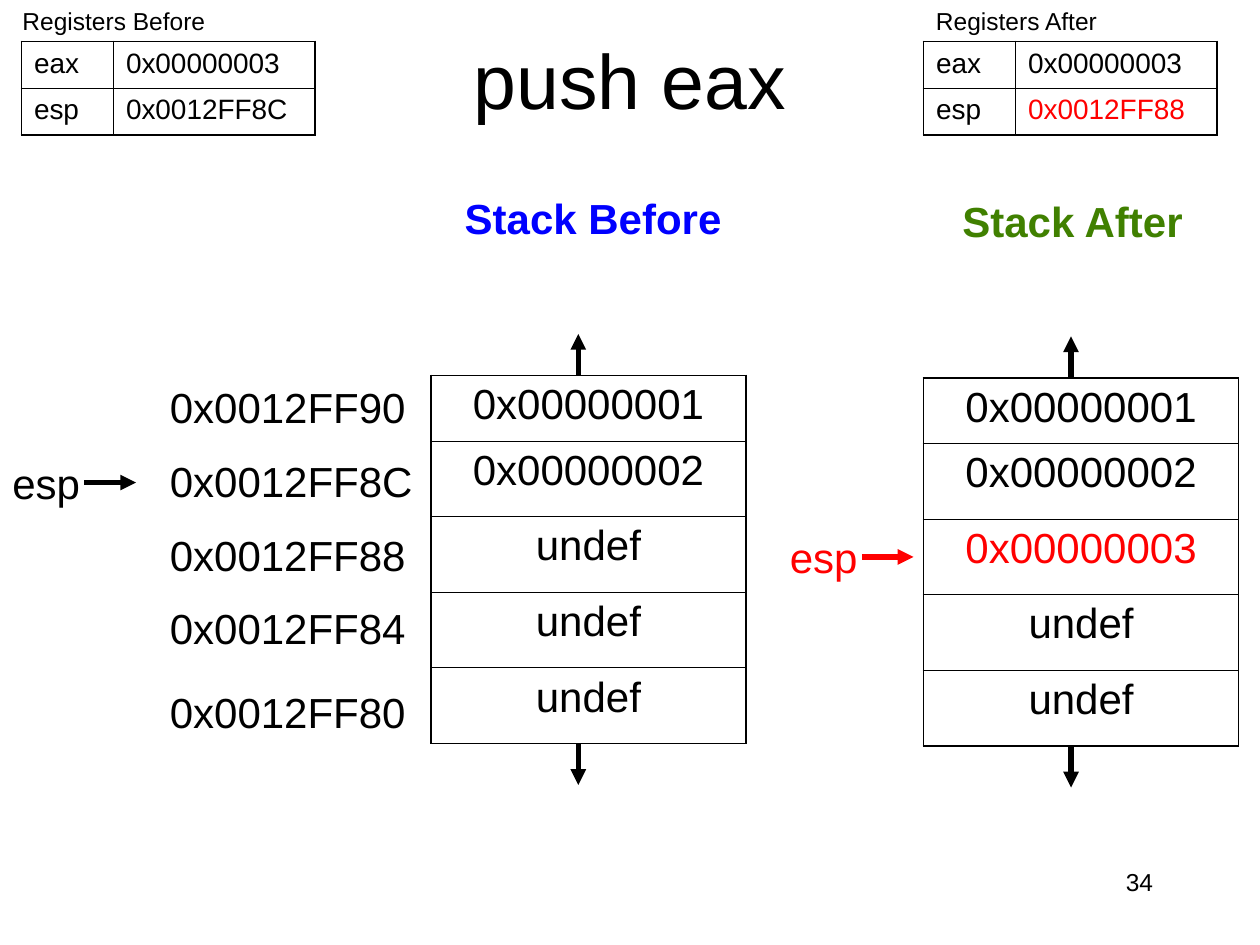
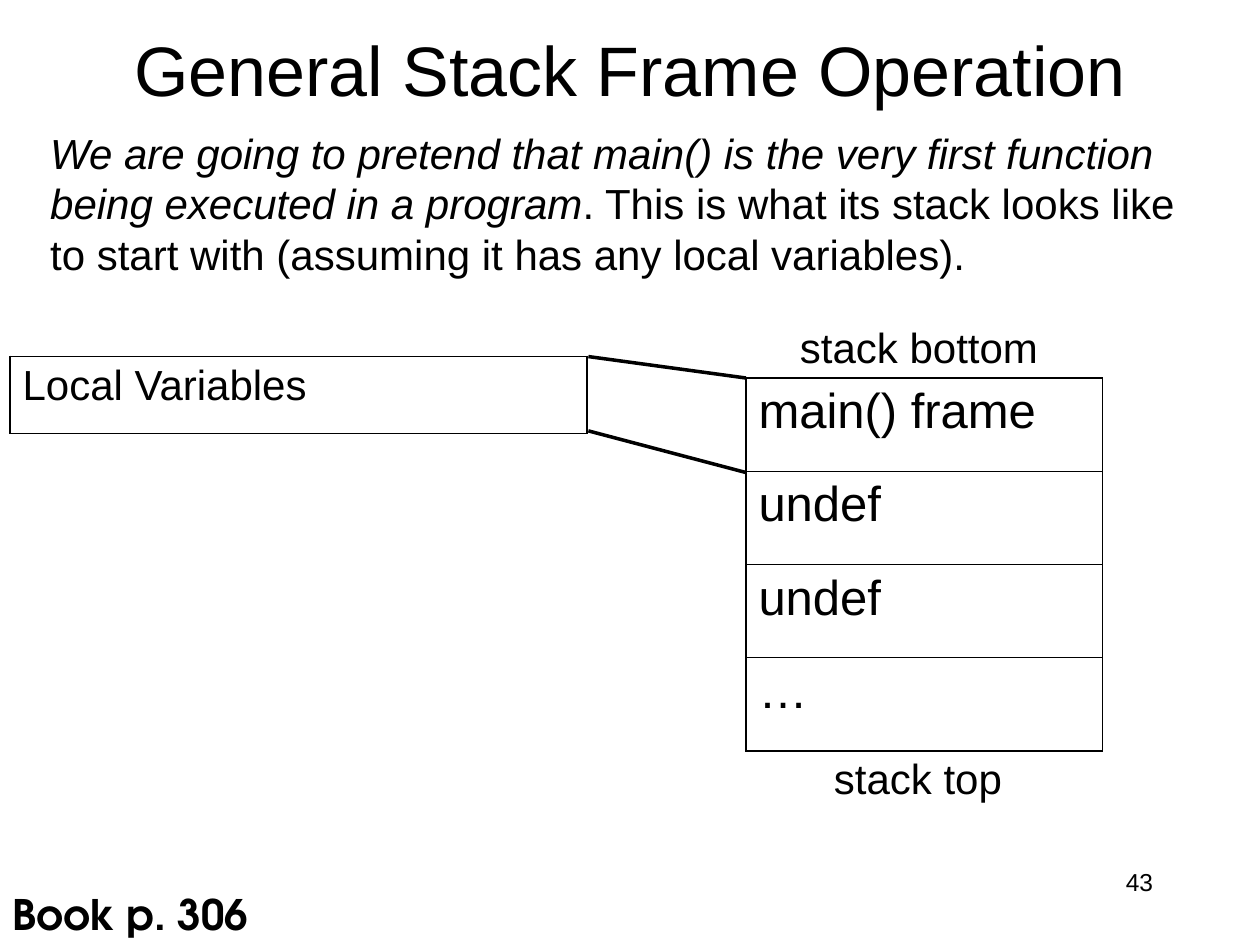
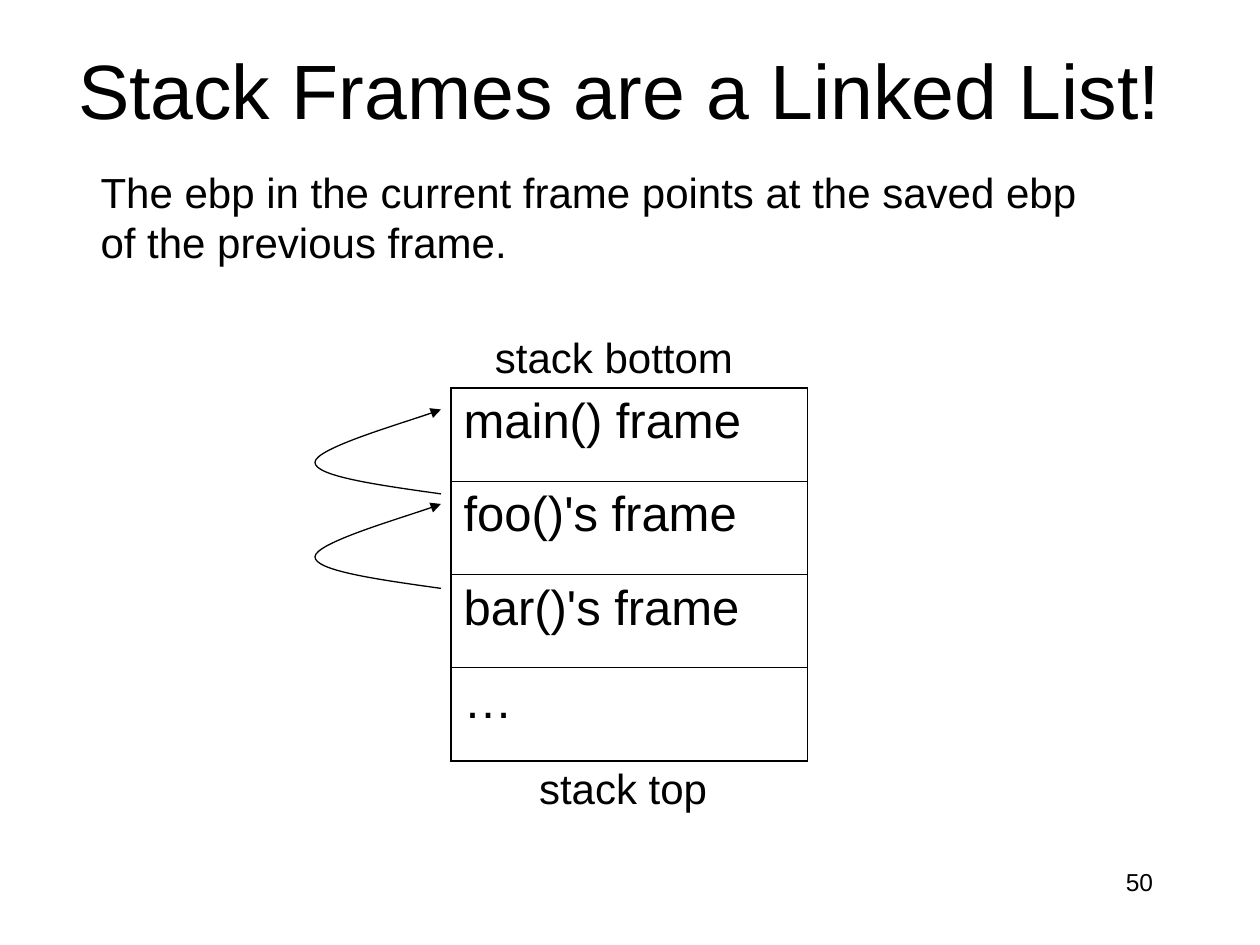
from lxml.etree import SubElement
from pptx import Presentation
from pptx.dml.color import RGBColor
from pptx.enum.shapes import MSO_CONNECTOR
from pptx.enum.text import MSO_ANCHOR as Anchor, MSO_AUTO_SIZE as AutoSize, PP_ALIGN as Align
from pptx.oxml.ns import qn
from pptx.util import Inches, Pt

BLACK, RED, BLUE, GREEN = "000000", "FF0000", "0000FF", "408000"
BODY_FONT, BOOK_FONT = "Arial", "TeX Gyre Adventor"
OUTER_BORDER, INNER_BORDER = 1.08, 0.45


def colour(hex_string):
    return RGBColor.from_string(hex_string)


def write(frame, text, size=24, color=BLACK, bold=False, align=Align.LEFT, font=BODY_FONT):
    """Fill a frame with a string, or with lines that each hold (text, italic) runs."""
    lines = [[(text, False)]] if isinstance(text, str) else text
    for index, line in enumerate(lines):
        paragraph = frame.add_paragraph() if index else frame.paragraphs[0]
        paragraph.alignment = align
        for content, italic in line:
            run = paragraph.add_run()
            run.text = content
            run.font.name, run.font.size = font, Pt(size)
            run.font.bold, run.font.italic = bold, italic
            run.font.color.rgb = colour(color)


def add_arrowhead(line):
    SubElement(line._get_or_add_ln(), qn("a:tailEnd"), type="triangle")


def set_border(cell, side, width):
    properties = cell._tc.get_or_add_tcPr()
    border = SubElement(properties, qn(f"a:ln{side}"), w=str(Pt(width)))
    fill = SubElement(border, qn("a:solidFill"))
    SubElement(fill, qn("a:srgbClr"), val=BLACK)


class Deck:
    def __init__(self):
        self.presentation = Presentation()
        self.presentation.slide_width = Inches(10)
        self.presentation.slide_height = Inches(7.5)
        self.slide = None

    def start_slide(self, title, number, left=0.75, top=0, width=8.5, size=44):
        self.slide = self.presentation.slides.add_slide(self.presentation.slide_layouts[6])
        self.text(number, 7.17, 6.83, 2.08, 0.5, wrap=True, size=14, align=Align.RIGHT)
        self.text(title, left, top, width, 1.25, wrap=True, anchor=Anchor.MIDDLE,
                  size=size, align=Align.CENTER)

    def text(self, text, left, top, width, height=0.5, wrap=False, anchor=Anchor.TOP, **style):
        box = self.slide.shapes.add_textbox(
            Inches(left), Inches(top), Inches(width), Inches(height))
        frame = box.text_frame
        frame.word_wrap = wrap
        frame.auto_size = AutoSize.NONE if wrap else AutoSize.SHAPE_TO_FIT_TEXT
        frame.vertical_anchor = anchor
        write(frame, text, **style)

    def line(self, start, end, width=3, color=BLACK, arrow=True):
        connector = self.slide.shapes.add_connector(
            MSO_CONNECTOR.STRAIGHT, *map(Inches, (*start, *end)))
        connector.line.width = Pt(width)
        connector.line.color.rgb = colour(color)
        if arrow:
            add_arrowhead(connector.line)
        SubElement(connector._element.spPr, qn("a:effectLst"))

    def table(self, rows, left, top, widths, heights, highlight=None, **style):
        """Draw a plain grid; cells equal to highlight are red."""
        frame = self.slide.shapes.add_table(
            len(rows), len(widths), Inches(left), Inches(top),
            Inches(sum(widths)), Inches(sum(heights)))
        table = frame.table
        table.first_row = table.horz_banding = False
        for column, width in zip(table.columns, widths):
            column.width = Inches(width)
        for row, height in zip(table.rows, heights):
            row.height = Inches(height)
        for r, values in enumerate(rows):
            for c, value in enumerate(values):
                cell = table.cell(r, c)
                on_edge = {"L": c == 0, "R": c == len(widths) - 1,
                           "T": r == 0, "B": r == len(rows) - 1}
                for side, outer in on_edge.items():
                    set_border(cell, side, OUTER_BORDER if outer else INNER_BORDER)
                cell.fill.background()
                cell.margin_left = cell.margin_right = Inches(0.1)
                cell.margin_top = cell.margin_bottom = Inches(0.05)
                write(cell.text_frame, value, color=RED if value == highlight else BLACK, **style)

    def registers(self, caption, esp, left, caption_left, caption_width, highlight=None):
        self.text(caption, caption_left, 0, caption_width, 0.34, size=14)
        self.table([("eax", "0x00000003"), ("esp", esp)], left, 0.33, [0.73, 1.6],
                   [0.37, 0.37], highlight, size=16)

    def memory_stack(self, values, left, top, highlight=None):
        """Draw stack cells with an arrow leaving each end."""
        heights = [0.52] + [0.6] * 4
        bottom, middle = top + sum(heights), left + 1.17
        self.table([(value,) for value in values], left, top, [2.5], heights,
                   highlight, align=Align.CENTER)
        self.line((middle, top), (middle, top - 0.33))
        self.line((middle, bottom), (middle, bottom + 0.33))

    def stack_pointer(self, left, top, color=BLACK):
        self.text("esp", left, top, 0.74, color=color)
        self.line((left + 0.67, top + 0.25), (left + 1.08, top + 0.25), color=color)

    def frame_stack(self, frames, left, top, label_indent):
        self.table([(name,) for name in frames], left, top, [2.83], [0.74] * 4, size=28)
        self.text("stack bottom", left + label_indent, top - 0.5, 2.09)
        self.text("stack top", left + 0.6, top + 2.92, 1.6, wrap=True)

    def link_curve(self, left, top):
        """Draw a bowed arrow from a frame up to the one before it."""
        def point(x, y):
            return Inches(left + x), Inches(top + y)

        builder = self.slide.shapes.build_freeform(*point(1, 0.67))
        builder.add_line_segments([point(0, 0.42), point(1, 0)], close=False)
        shape = builder.convert_to_shape()
        shape.shadow.inherit = False
        shape.fill.background()
        shape.line.width = Pt(0.75)
        shape.line.color.rgb = colour(BLACK)
        add_arrowhead(shape.line)
        outline = shape._element.find(".//" + qn("a:path"))
        for segment in outline.findall(qn("a:lnTo")):
            outline.remove(segment)
        for controls in ([(0.5, 0.6), (0, 0.53), (0, 0.42)],
                         [(0, 0.31), (0.83, 0.07), (1, 0)]):
            curve = SubElement(outline, qn("a:cubicBezTo"))
            for x, y in controls:
                SubElement(curve, qn("a:pt"), x=str(Inches(x)), y=str(Inches(y)))


def add_push_slide(deck):
    deck.start_slide("push eax", "34")
    deck.memory_stack(["0x00000001", "0x00000002", "undef", "undef", "undef"], 3.42, 2.98)
    deck.memory_stack(["0x00000001", "0x00000002", "0x00000003", "undef", "undef"],
                      7.33, 3, highlight="0x00000003")
    deck.text("Stack Before", 3.59, 1.48, 2.24, color=BLUE, bold=True)
    deck.text("Stack After", 7.54, 1.5, 1.96, color=GREEN, bold=True)
    address_tops = {"0x0012FF90": 2.98, "0x0012FF8C": 3.57, "0x0012FF88": 4.15,
                    "0x0012FF84": 4.73, "0x0012FF80": 5.4}
    for address, top in address_tops.items():
        deck.text(address, 1.25, top, 2.16, wrap=True)
    deck.stack_pointer(0, 3.58)
    deck.stack_pointer(6.17, 4.17, RED)
    deck.registers("Registers Before", "0x0012FF8C", 0.17, 0.08, 1.65)
    deck.registers("Registers After", "0x0012FF88", 7.33, 7.33, 1.49, highlight="0x0012FF88")


def add_frame_operation_slide(deck):
    deck.start_slide("General Stack Frame Operation", "43", top=-0.08, size=40)
    deck.frame_stack(["main() frame", "undef", "undef", "…"], 5.92, 3, label_indent=0.33)
    deck.table([("Local Variables",)], 0.08, 2.83, [4.58], [0.61])
    deck.text([
        [("We are going to pretend that main() is the very first function", True)],
        [("being executed in a program", True), (". This is what its stack looks like", False)],
        [("to start with (assuming it has any local variables).", False)],
    ], 0.3, 0.96, 9.22, 1.3, anchor=Anchor.MIDDLE)
    deck.line((4.67, 2.83), (5.92, 3), width=2, arrow=False)
    deck.line((4.67, 3.42), (5.92, 3.75), width=2, arrow=False)
    deck.text("Book p. 306", 0, 7, 2.09, bold=True, font=BOOK_FONT)


def add_linked_list_slide(deck):
    deck.start_slide("Stack Frames are a Linked List!", "50", left=0.42, top=0.08, width=9)
    deck.frame_stack(["main() frame", "foo()'s frame", "bar()'s frame", "…"],
                     3.58, 3.08, label_indent=0.25)
    deck.text("The ebp in the current frame points at the saved ebp of the previous frame.",
              0.7, 1.27, 8.05, 0.9, wrap=True)
    for top in (4, 3.25):
        deck.link_curve(2.5, top)


def main():
    deck = Deck()
    add_push_slide(deck)
    add_frame_operation_slide(deck)
    add_linked_list_slide(deck)
    deck.presentation.save("out.pptx")


if __name__ == "__main__":
    main()
